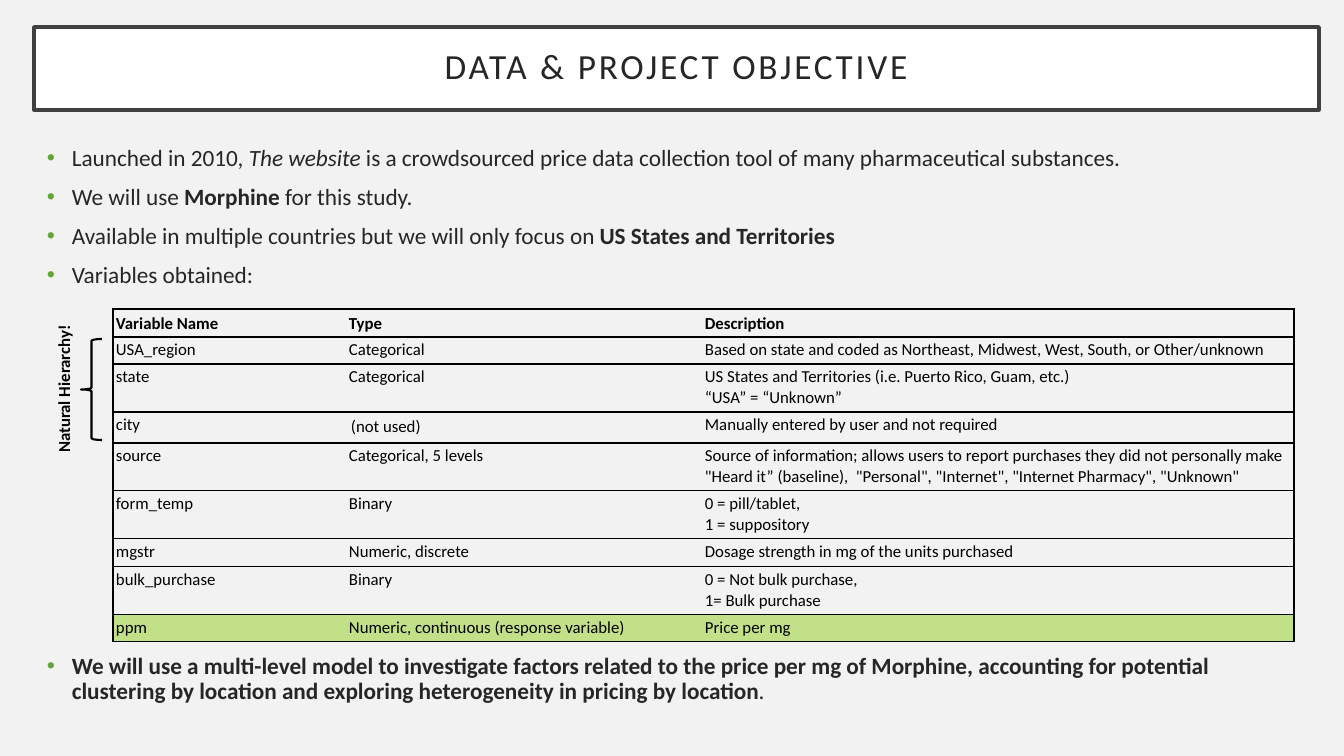
from lxml import etree
from pptx import Presentation
from pptx.dml.color import RGBColor
from pptx.enum.shapes import MSO_SHAPE
from pptx.enum.text import MSO_ANCHOR, PP_ALIGN
from pptx.oxml.ns import qn
from pptx.util import Emu, Pt

EMU_PER_PX = 914400 / 100.8
TITLE_ONLY = 5
CENTER = PP_ALIGN.CENTER
MIDDLE, TOP, BOTTOM = MSO_ANCHOR.MIDDLE, MSO_ANCHOR.TOP, MSO_ANCHOR.BOTTOM
LEFT_BRACE = MSO_SHAPE.LEFT_BRACE
FONT = "Calibri"
BLACK, INK, GREEN, HIGHLIGHT = "000000", "262626", "63A537", "C2E088"
PLAIN_TABLE_STYLE = "{2D5ABB26-0587-4C30-8999-92F81FD0307C}"

BULLETS = [
    [("Launched in 2010, ", ""), ("The website", "i"),
     (" is a crowdsourced price data collection tool of many pharmaceutical substances.", "")],
    [("We will use ", ""), ("Morphine", "b"), (" for this study.", "")],
    [("Available in multiple countries but we will only focus on ", ""),
     ("US States and Territories", "b")],
    [("Variables obtained:", "")],
]
CONCLUSION = [
    [("We will use a multi-level model to investigate factors related to the price per mg "
      "of Morphine, accounting for potential clustering by location and exploring "
      "heterogeneity in pricing by location", "b"), (".", "")],
]
COLUMN_WIDTHS = [233, 356, 592]
ROW_HEIGHTS = [28, 27, 48, 31, 48, 48, 28, 48, 27]
VARIABLES = [
    ("Variable Name", "Type", "Description"),
    ("USA_region", "Categorical",
     "Based on state and coded as Northeast, Midwest, West, South, or Other/unknown"),
    ("state", "Categorical",
     "US States and Territories (i.e. Puerto Rico, Guam, etc.)\n“USA” = “Unknown”"),
    ("city", "(not used)", "Manually entered by user and not required"),
    ("source", "Categorical, 5 levels",
     "Source of information; allows users to report purchases they did not personally make\n"
     '"Heard it” (baseline),  "Personal", "Internet", "Internet Pharmacy", "Unknown"'),
    ("form_temp", "Binary", "0 = pill/tablet,\n1 = suppository"),
    ("mgstr", "Numeric, discrete", "Dosage strength in mg of the units purchased"),
    ("bulk_purchase", "Binary", "0 = Not bulk purchase,\n1= Bulk purchase"),
    ("ppm", "Numeric, continuous (response variable)", "Price per mg"),
]


def px(length):
    return Emu(round(length * EMU_PER_PX))


def box_emu(box):
    return [px(length) for length in box]


def color(hex_code):
    return RGBColor.from_string(hex_code)


def add_run(paragraph, text, size, hex_code, bold=False, italic=False):
    run = paragraph.add_run()
    run.text = text
    run.font.name = FONT
    run.font.size = Pt(size)
    run.font.bold = bold
    run.font.italic = italic
    run.font.color.rgb = color(hex_code)
    return run


def set_margins(target, margin):
    target.margin_left = target.margin_right = px(margin)
    target.margin_top = target.margin_bottom = px(margin)


def fill_title(slide, box):
    title = slide.shapes.title
    title.left, title.top, title.width, title.height = box_emu(box)
    title.fill.solid()
    title.fill.fore_color.rgb = color("FFFFFF")
    title.line.color.rgb = color("404040")
    title.line.width = Pt(2.5)
    frame = title.text_frame
    frame.vertical_anchor = MIDDLE
    set_margins(frame, 20)
    paragraph = frame.paragraphs[0]
    paragraph.alignment = CENTER
    paragraph.line_spacing = 0.9
    run = add_run(paragraph, "DATA & PROJECT OBJECTIVE", 25.2, INK)
    run.font._element.set("spc", "200")


def add_bullet(paragraph):
    properties = paragraph._p.get_or_add_pPr()
    properties.set("marL", str(px(25)))
    properties.set("indent", str(px(-25)))
    bullet_color = etree.SubElement(properties, qn("a:buClr"))
    etree.SubElement(bullet_color, qn("a:srgbClr"), val=GREEN)
    etree.SubElement(properties, qn("a:buFont"), typeface="Arial")
    etree.SubElement(properties, qn("a:buChar"), char="•")


def add_bullet_list(slide, box, items):
    frame = slide.shapes.add_textbox(*box_emu(box)).text_frame
    frame.word_wrap = True
    for index, item in enumerate(items):
        paragraph = frame.add_paragraph() if index else frame.paragraphs[0]
        add_bullet(paragraph)
        paragraph.line_spacing = 0.9
        paragraph.space_before = Pt(10 if index else 0)
        for text, style in item:
            add_run(paragraph, text, 16.6, INK, style == "b", style == "i")


def add_borders(cell, sides):
    """Draw thin black borders on the given sides, in L, R, T, B order."""
    properties = cell._tc.get_or_add_tcPr()
    for index, side in enumerate(sides):
        line = etree.Element(qn(f"a:ln{side}"), w=str(Pt(1)))
        fill = etree.SubElement(line, qn("a:solidFill"))
        etree.SubElement(fill, qn("a:srgbClr"), val=BLACK)
        properties.insert(index, line)


def fill_cell(cell, text, is_header, is_response):
    if is_response:
        cell.fill.solid()
        cell.fill.fore_color.rgb = color(HIGHLIGHT)
    else:
        cell.fill.background()
    set_margins(cell, 5 if text == "(not used)" else 3)
    cell.vertical_anchor = BOTTOM if is_header else TOP
    frame = cell.text_frame
    for index, line in enumerate(text.split("\n")):
        paragraph = frame.add_paragraph() if index else frame.paragraphs[0]
        add_run(paragraph, line, 12, BLACK, bold=is_header)


def add_variable_table(slide, left, top):
    box = (left, top, sum(COLUMN_WIDTHS), sum(ROW_HEIGHTS))
    frame = slide.shapes.add_table(len(VARIABLES), len(COLUMN_WIDTHS), *box_emu(box))
    table = frame.table
    table.first_row = table.horz_banding = False
    table._tbl.tblPr.find(qn("a:tableStyleId")).text = PLAIN_TABLE_STYLE
    for column, width in zip(table.columns, COLUMN_WIDTHS):
        column.width = px(width)
    for row, height in zip(table.rows, ROW_HEIGHTS):
        row.height = px(height)
    last_row, last_column = len(VARIABLES) - 1, len(COLUMN_WIDTHS) - 1
    outer_sides = {0: "L", last_column: "R"}
    for row_index, texts in enumerate(VARIABLES):
        for column_index, text in enumerate(texts):
            cell = table.cell(row_index, column_index)
            fill_cell(cell, text, row_index == 0, row_index == last_row)
            add_borders(cell, outer_sides.get(column_index, "") + "TB")


def add_hierarchy_note(slide, box):
    """Put a brace at the right of the box and a vertical label at its left."""
    left, top, width, height = box
    brace_width, label_length, label_height = 21, 219, 30
    brace_box = (left + width - brace_width, top, brace_width, height)
    brace = slide.shapes.add_shape(LEFT_BRACE, *box_emu(brace_box))
    brace.shadow.inherit = False
    brace.fill.background()
    brace.line.color.rgb = color(BLACK)
    brace.line.width = Pt(1.5)

    center_x, center_y = left + label_height // 2, top + height // 2
    label_box = (center_x - label_length // 2, center_y - label_height // 2,
                 label_length, label_height)
    label = slide.shapes.add_textbox(*box_emu(label_box))
    label.rotation = 270
    label.text_frame.word_wrap = True
    paragraph = label.text_frame.paragraphs[0]
    paragraph.alignment = CENTER
    add_run(paragraph, "Natural Hierarchy!", 12, BLACK, bold=True)


def main():
    presentation = Presentation()
    presentation.slide_width, presentation.slide_height = px(1344), px(756)
    slide = presentation.slides.add_slide(presentation.slide_layouts[TITLE_ONLY])
    slide.background.fill.solid()
    slide.background.fill.fore_color.rgb = color("F2F2F2")
    fill_title(slide, (34, 27, 1285, 83))
    add_bullet_list(slide, (37, 141, 1228, 160), BULLETS)
    add_variable_table(slide, 113, 309)
    add_hierarchy_note(slide, (48, 339, 54, 101))
    add_bullet_list(slide, (37, 649, 1228, 62), CONCLUSION)
    presentation.save("out.pptx")


if __name__ == "__main__":
    main()
